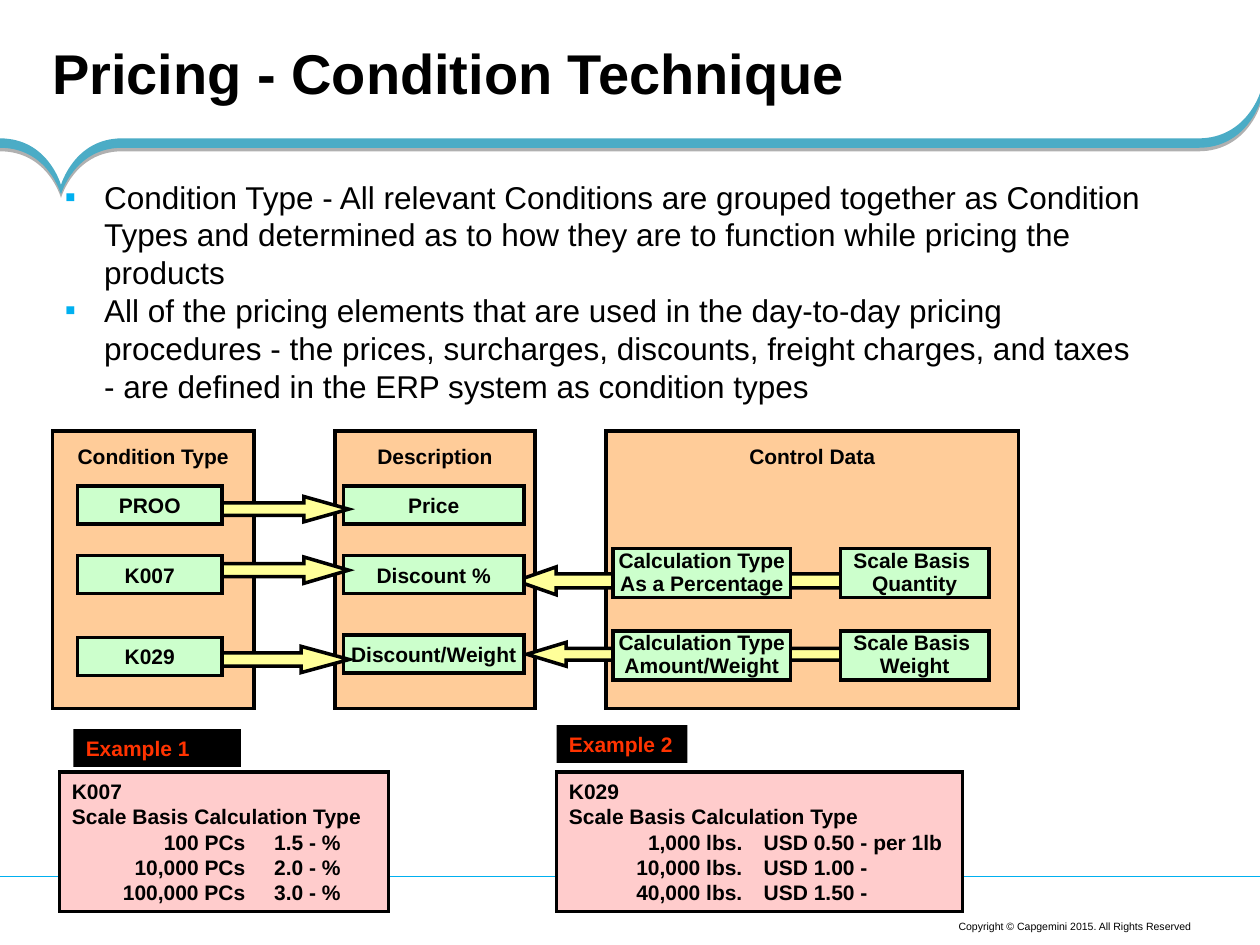
from dataclasses import dataclass

from lxml import etree
from pptx import Presentation
from pptx import util as u
from pptx.dml.color import RGBColor
from pptx.enum import shapes, text
from pptx.oxml import ns

Cm = u.Cm
LEFT, CENTER, RIGHT = (text.PP_ALIGN.LEFT, text.PP_ALIGN.CENTER, text.PP_ALIGN.RIGHT)
TOP, MIDDLE, BOTTOM = (text.MSO_ANCHOR.TOP, text.MSO_ANCHOR.MIDDLE, text.MSO_ANCHOR.BOTTOM)


@dataclass(frozen=True)
class Theme:
    font: str = "Arial"
    ink: str = "000000"
    wave: str = "4BACC6"
    accent: str = "00B0F0"
    panel: str = "FFCC99"
    box: str = "CCFFCC"
    arrow: str = "FFFF99"
    example: str = "FFCCCC"
    label: str = "FF3300"
    title_size: int = 32
    body_size: int = 18
    small_size: int = 12
    footer_size: int = 6
    outline: int = 2


THEME = Theme()


def color(value):
    return RGBColor.from_string(value)


def add_xml(parent, tag, **attributes):
    return etree.SubElement(parent, ns.qn(tag), attributes)


def add_bullet(paragraph, indent):
    properties = paragraph._p.get_or_add_pPr()
    properties.set("marL", str(indent))
    properties.set("indent", str(-indent))
    add_xml(add_xml(properties, "a:buClr"), "a:srgbClr", val=THEME.accent)
    add_xml(properties, "a:buFont", typeface=THEME.font)
    add_xml(properties, "a:buChar", char="▪")


def add_tabs(paragraph, stops):
    tab_list = add_xml(paragraph._p.get_or_add_pPr(), "a:tabLst")
    for position, alignment in stops:
        add_xml(tab_list, "a:tab", pos=str(Cm(position)), algn=alignment)


def write(shape, content, *, size=THEME.small_size, ink=THEME.ink, bold=True, align=LEFT,
          anchor=MIDDLE, wrap=False, margins=(0.25, 0.13), spacing=None, bullet=None, tabs=()):
    """Fill the shape: a newline starts a paragraph, a vertical tab breaks a line."""
    frame = shape.text_frame
    frame.word_wrap = wrap
    frame.vertical_anchor = anchor
    frame.margin_left = frame.margin_right = Cm(margins[0])
    frame.margin_top = frame.margin_bottom = Cm(margins[1])
    frame.text = content
    for paragraph in frame.paragraphs:
        paragraph.alignment = align
        if spacing:
            paragraph.line_spacing = spacing
        if bullet:
            add_bullet(paragraph, bullet)
        if tabs:
            add_tabs(paragraph, tabs)
        for run in paragraph.runs:
            run.font.name = THEME.font
            run.font.size = u.Pt(size)
            run.font.bold = bold
            run.font.color.rgb = color(ink)


def add_text(slide, bounds, content, **style):
    write(slide.shapes.add_textbox(*map(Cm, bounds)), content, wrap=True, **style)


def add_figure(slide, kind, bounds, fill, outlined=True):
    shape = slide.shapes.add_shape(kind, *map(Cm, bounds))
    shape.shadow.inherit = False
    shape.fill.solid()
    shape.fill.fore_color.rgb = color(fill)
    if outlined:
        shape.line.color.rgb = color(THEME.ink)
        shape.line.width = u.Pt(THEME.outline)
        add_xml(shape._element.spPr.find(ns.qn("a:ln")), "a:miter", lim="800000")
    else:
        shape.line.fill.background()
    return shape


def add_box(slide, bounds, fill, content, outlined=True, **style):
    write(add_figure(slide, shapes.MSO_SHAPE.RECTANGLE, bounds, fill, outlined), content, **style)


def add_panel(slide, left, width, heading):
    add_box(slide, (left, 8.69, width, 5.59), THEME.panel, heading,
            align=CENTER, anchor=TOP, margins=(0.25, 0.25))


def add_arrow(slide, kind, bounds, head):
    arrow = add_figure(slide, kind, bounds, THEME.arrow)
    arrow.adjustments[0] = 0.5
    arrow.adjustments[1] = head


def add_curved_outline(slide, start, segments):
    """Draw a closed outline; a segment has one point (line) or three (cubic curve)."""
    builder = slide.shapes.build_freeform(*map(Cm, start))
    builder.add_line_segments([(Cm(x), Cm(y)) for segment in segments for x, y in segment])
    shape = builder.convert_to_shape()
    lines = iter(list(shape._element.iter(ns.qn("a:lnTo"))))
    for segment in segments:
        first, *others = [next(lines) for _ in segment]
        if others:
            first.tag = ns.qn("a:cubicBezTo")
            for line in others:
                first.append(line[0])
                line.getparent().remove(line)
    return shape


def add_wave(slide):
    level, thickness = 2.79, 0.19
    low = level + thickness
    tip, low_tip = (1.23, 3.73), (1.23, 3.73 + thickness)
    end, low_end = (25.4, 1.88), (25.4, 1.88 + thickness)
    wave = add_curved_outline(slide, (24.16, level), [
        [(2.46, level)],
        [(1.5, level), tip, tip],
        [tip, (0.97, level), (0, level)],
        [(0, low)],
        [(0.97, low), low_tip, low_tip],
        [low_tip, (1.5, low), (2.46, low)],
        [(24.16, low)],
        [(25.12, low), low_end, low_end],
        [end],
        [end, (25.12, level), (24.16, level)],
    ])
    wave.fill.solid()
    wave.fill.fore_color.rgb = color(THEME.wave)
    wave.line.fill.background()
    wave.shadow.inherit = False
    effects = wave._element.spPr.find(ns.qn("a:effectLst"))
    shadow = add_xml(effects, "a:outerShdw", dist=str(u.Pt(2)), dir="5400000", rotWithShape="0")
    add_xml(add_xml(shadow, "a:srgbClr", val=THEME.ink), "a:alpha", val="31000")


def add_rule(slide, y):
    rule = slide.shapes.add_connector(shapes.MSO_CONNECTOR.STRAIGHT, Cm(25.4), Cm(y), 0, Cm(y))
    rule.line.color.rgb = color(THEME.accent)
    rule.line.width = u.Pt(0.75)
    add_xml(rule._element.spPr, "a:effectLst")


def add_example(slide, left, width, value_tab, code, rows):
    lines = ["Scale Basis\t Calculation Type"] + [f"\t{scale}\t {value}" for scale, value in rows]
    add_box(slide, (left, 15.56, width, 2.82), THEME.example, code + "\n" + " \v".join(lines),
            tabs=((3.5, "r"), (value_tab, "l")))


def add_label(slide, bounds, content):
    add_box(slide, bounds, THEME.ink, content, outlined=False, ink=THEME.label,
            anchor=TOP, wrap=True)


def add_diagram(slide):
    add_panel(slide, 6.75, 4.04, "Description")
    add_panel(slide, 12.22, 8.31, "Control Data")
    for bounds, head in (((10.62, 12.95, 6.48, 0.48), 1.65), ((10.41, 11.43, 6.68, 0.56), 1.43)):
        add_arrow(slide, shapes.MSO_SHAPE.LEFT_ARROW, bounds, head)
    add_panel(slide, 1.06, 4.06, "Condition Type")

    for top, content in ((9.8, "Price"), (11.2, "Discount %"), (12.8, "Discount/Weight")):
        add_box(slide, (6.93, top, 3.63, 0.77), THEME.box, content, align=CENTER)
    for bounds, head in (((4.39, 10.01, 2.64, 0.51), 1.77), ((4.39, 11.23, 2.64, 0.53), 1.7),
                         ((4.22, 13.03, 2.82, 0.53), 1.83)):
        add_arrow(slide, shapes.MSO_SHAPE.RIGHT_ARROW, bounds, head)
    for top, content in ((9.8, "PROO"), (11.2, "K007"), (12.85, "K029")):
        add_box(slide, (1.56, top, 2.92, 0.77), THEME.box, content, align=CENTER)

    for top, calculation, scale in ((11.06, "As a Percentage", "Quantity"),
                                    (12.72, "Amount/Weight", "Weight")):
        for left, width, content in ((12.36, 3.58, f"Calculation Type\n{calculation}"),
                                     (16.94, 3.0, f"Scale Basis \n{scale}")):
            add_box(slide, (left, top, width, 0.99), THEME.box, content,
                    align=CENTER, spacing=0.9)


def main():
    presentation = Presentation()
    presentation.slide_width, presentation.slide_height = Cm(25.4), Cm(19.05)
    slide = presentation.slides.add_slide(presentation.slide_layouts[6])

    add_wave(slide)
    add_text(slide, (17.28, 18.39, 6.83, 0.51), "Copyright © Capgemini 2015. All Rights Reserved",
             size=THEME.footer_size, bold=False, align=RIGHT, anchor=BOTTOM,
             margins=(0.1, 0.1), spacing=0.9)
    add_rule(slide, 17.67)
    add_text(slide, (1.05, 0.78, 24.26, 1.85), "Pricing - Condition Technique",
             size=THEME.title_size, anchor=TOP, margins=(0, 0))
    add_text(slide, (1.06, 3.45, 22.23, 4.83),
             "Condition Type - All relevant Conditions are grouped together as Condition Types "
             "and determined as to how they are to function while pricing the products\n"
             "All of the pricing elements that are used in the day-to-day pricing procedures - "
             "the prices, surcharges, discounts, freight charges, and taxes - are defined in "
             "the ERP system as condition types",
             size=THEME.body_size, bold=False, anchor=TOP, bullet=Cm(0.79))

    add_example(slide, 1.2, 6.63, 3.96, "K007",
                (("100 PCs", "1.5 - %"), ("10,000 PCs", "2.0 - %"), ("100,000 PCs", "3.0 - %")))
    add_example(slide, 11.22, 8.18, 3.81, "K029",
                (("1,000 lbs.", "USD 0.50 - per 1lb"), ("10,000 lbs.", "USD 1.00 -"),
                 ("40,000 lbs.", "USD 1.50 -")))
    add_label(slide, (1.48, 14.7, 3.38, 0.76), "Example 1")
    add_diagram(slide)
    add_label(slide, (11.22, 14.62, 2.64, 0.76), "Example 2")

    presentation.save("out.pptx")


if __name__ == "__main__":
    main()
